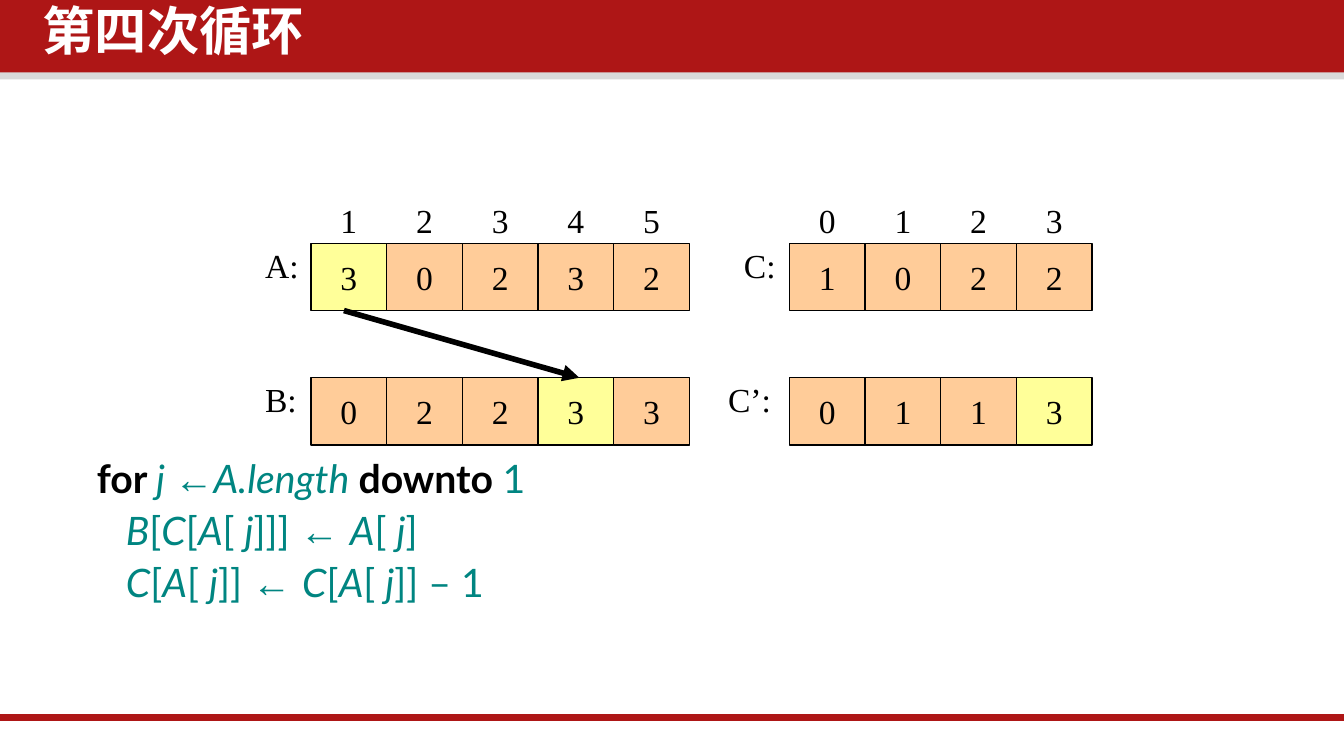
import pptx
import pptx.util
import pptx.dml.color
import pptx.enum.shapes
import pptx.enum.text
import pptx.oxml.ns
from lxml import etree

Cm = pptx.util.Cm
SHAPE = pptx.enum.shapes.MSO_SHAPE
ANCHOR = pptx.enum.text.MSO_ANCHOR
CENTER = pptx.enum.text.PP_ALIGN.CENTER

TITLE = "第四次循环"
RED, GREY, BLACK, WHITE = "AE1616", "D9D9D9", "000000", "FFFFFF"
PEACH, YELLOW, TEAL = "FFCC99", "FFFF99", "008581"
CELL_WIDTH, CELL_HEIGHT = 1.43, 1.27
LABEL_WIDTH, LABEL_HEIGHT = 1.5, 1.02

BANDS = [(0, 1.27, 0.23, GREY), (0, 0, 1.37, RED)]
ARRAYS = [
    {"label": "A:", "label_left": 4.76, "left": 5.88, "top": 4.6,
     "values": "30232", "marked": 0, "indices": "12345"},
    {"label": "B:", "label_left": 4.76, "left": 5.88, "top": 7.14,
     "values": "02233", "marked": 3, "indices": ""},
    {"label": "C:", "label_left": 13.81, "left": 14.92, "top": 4.6,
     "values": "1022", "marked": None, "indices": "0123"},
    {"label": "C’:", "label_left": 13.51, "left": 14.92, "top": 7.14,
     "values": "0113", "marked": 3, "indices": ""},
]

PLAIN = {"name": "Lato", "color": TEAL}
ITALIC = {**PLAIN, "italic": True}
KEYWORD = {"name": "Lato", "color": BLACK, "bold": True}
ARROW = {"name": "Arial", "color": TEAL}
SERIF = {"name": "Times New Roman", "size": 18, "color": BLACK}
HEADING = {"name": "Noto Sans CJK SC", "size": 28, "color": WHITE, "bold": True}

CODE = [
    (0, [("for ", KEYWORD), ("j ", ITALIC), ("←", ARROW), ("A.length ", ITALIC),
         ("downto ", KEYWORD), ("1", PLAIN)]),
    (0.55, [("B", ITALIC), ("[", PLAIN), ("C", ITALIC), ("[", PLAIN), ("A", ITALIC),
            ("[ ", PLAIN), ("j", ITALIC), ("]]] ", PLAIN), ("← ", ARROW),
            ("A", ITALIC), ("[ ", PLAIN), ("j", ITALIC), ("]", PLAIN)]),
    (0.55, [("C", ITALIC), ("[", PLAIN), ("A", ITALIC), ("[ ", PLAIN), ("j", ITALIC),
            ("]] ", PLAIN), ("← ", ARROW), ("C", ITALIC), ("[", PLAIN), ("A", ITALIC),
            ("[ ", PLAIN), ("j", ITALIC), ("]] – 1", PLAIN)]),
]


def color(value):
    return pptx.dml.color.RGBColor.from_string(value)


def add_span(para, text, style):
    span = para.add_run()
    span.text = text
    for key, value in style.items():
        if key == "color":
            span.font.color.rgb = color(value)
        else:
            setattr(span.font, key, pptx.util.Pt(value) if key == "size" else value)
    east = etree.SubElement(span.font._element, pptx.oxml.ns.qn("a:ea"))
    east.set("typeface", style["name"])


def add_rectangle(page, left, top, width, height, fill):
    shape = page.shapes.add_shape(SHAPE.RECTANGLE, Cm(left), Cm(top), Cm(width), Cm(height))
    shape.shadow.inherit = False
    shape.fill.solid()
    shape.fill.fore_color.rgb = color(fill)
    shape.line.fill.background()
    return shape


def add_line(page, start, end, stroke, width, arrow=False):
    line = page.shapes.add_connector(
        pptx.enum.shapes.MSO_CONNECTOR.STRAIGHT, *map(Cm, start + end))
    line.line.color.rgb = color(stroke)
    line.line.width = pptx.util.Pt(width)
    if arrow:
        head = etree.SubElement(line.line._get_or_add_ln(), pptx.oxml.ns.qn("a:tailEnd"))
        head.set("type", "triangle")
    etree.SubElement(line._element.spPr, pptx.oxml.ns.qn("a:effectLst"))


def add_box(page, left, top, width, height, **frame):
    box = page.shapes.add_textbox(Cm(left), Cm(top), Cm(width), Cm(height))
    box.text_frame.word_wrap = True
    for key, value in frame.items():
        setattr(box.text_frame, key, value)
    return box.text_frame


def add_array(page, array):
    label = add_box(page, array["label_left"], array["top"] - 0.1,
                    LABEL_WIDTH, LABEL_HEIGHT, margin_right=0)
    add_span(label.paragraphs[0], array["label"], SERIF)
    for place, value in enumerate(array["values"]):
        left = array["left"] + place * CELL_WIDTH
        fill = YELLOW if place == array["marked"] else PEACH
        cell = add_rectangle(page, left, array["top"], CELL_WIDTH, CELL_HEIGHT, fill)
        cell.line.color.rgb = color(BLACK)
        cell.line.width = pptx.util.Pt(0.75)
        cell.text_frame.word_wrap = False
        cell.text_frame.vertical_anchor = ANCHOR.MIDDLE
        cell.text_frame.paragraphs[0].alignment = CENTER
        add_span(cell.text_frame.paragraphs[0], value, SERIF)
    for place, index in enumerate(array["indices"]):
        left = array["left"] + place * CELL_WIDTH
        frame = add_box(page, left, array["top"] - 0.94, CELL_WIDTH, LABEL_HEIGHT)
        frame.paragraphs[0].alignment = CENTER
        add_span(frame.paragraphs[0], index, SERIF)


def add_code(page):
    frame = add_box(page, 1.58, 8.64, 21.9, 3)
    for number, (indent, spans) in enumerate(CODE):
        para = frame.add_paragraph() if number else frame.paragraphs[0]
        para.line_spacing = 0.8
        para.space_before = pptx.util.Pt(7.5 if number else 0)
        para._p.get_or_add_pPr().set("marL", str(Cm(indent)))
        for text, style in spans:
            add_span(para, text, {**style, "size": 21})


def main():
    deck = pptx.Presentation()
    deck.slide_width, deck.slide_height = Cm(25.4), Cm(14.29)
    page = deck.slides.add_slide(deck.slide_layouts[6])
    for left, top, height, fill in BANDS:
        add_rectangle(page, left, top, 25.4, height, fill)
    add_line(page, (0, 13.56), (25.4, 13.56), RED, 4)
    add_code(page)
    for array in ARRAYS:
        add_array(page, array)
    add_line(page, (6.5, 5.87), (10.95, 7.14), BLACK, 3, arrow=True)
    title = add_box(page, 0.63, 0, 19.41, 1.5,
                    margin_left=Cm(0.18), margin_right=Cm(0.18),
                    margin_top=Cm(0.1), margin_bottom=Cm(0.1))
    title.paragraphs[0].line_spacing = 0.9
    add_span(title.paragraphs[0], TITLE, HEADING)
    deck.save("out.pptx")


if __name__ == "__main__":
    main()
